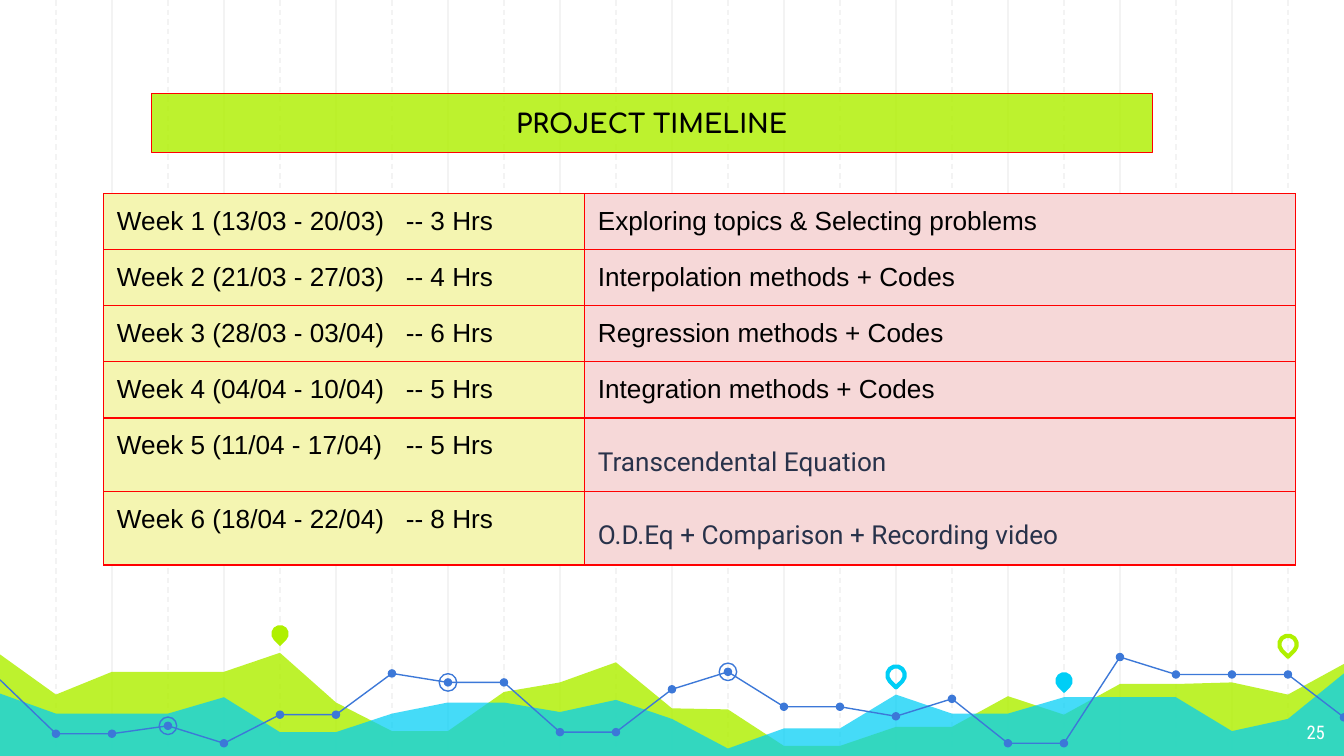
"""Build the project timeline slide with its chart-like backdrop."""
from lxml.etree import SubElement
from pptx import Presentation
from pptx.dml.color import RGBColor
from pptx.enum.dml import MSO_LINE
from pptx.enum.shapes import MSO_CONNECTOR, MSO_SHAPE
from pptx.enum.text import MSO_ANCHOR, PP_ALIGN
from pptx.oxml.ns import qn
from pptx.util import Cm, Pt

WIDTH, HEIGHT = 25.4, 14.29
STEPS = 24
STEP = WIDTH / STEPS
INSET = 0.25
CELL_BOTTOM = 0.2

GREEN_HILLS = [12.37, 13.13, 12.7, 12.7, 12.7, 12.34, 13.28, 13.82, 13.82, 13.08, 12.9, 12.52, 13.39,
               13.41, 14.1, 14.1, 13.74, 13.74, 13.16, 13.51, 12.93, 12.93, 12.9, 13.13, 12.55]
BLUE_HILLS = [13.11, 13.49, 13.49, 13.49, 13.18, 13.84, 13.84, 13.49, 13.28, 13.28, 13.46, 13.23, 13.59,
              14.15, 13.77, 13.77, 13.13, 13.49, 13.49, 13.18, 13.18, 13.18, 13.82, 13.59, 12.73]
TREND = [12.85, 13.87, 13.87, 13.72, 14.05, 13.51, 13.51, 12.73, 12.9, 12.9, 13.84, 13.84, 13.03,
         12.7, 13.36, 13.36, 13.54, 13.21, 14.05, 14.05, 12.42, 12.75, 12.75, 12.75, 13.56]
RINGED_STEPS = [3, 8, 13]
WEEKS = [
    ("Week 1 (13/03 - 20/03)", "3 Hrs", "Exploring topics & Selecting problems"),
    ("Week 2 (21/03 - 27/03)", "4 Hrs", "Interpolation methods + Codes"),
    ("Week 3 (28/03 - 03/04)", "6 Hrs", "Regression methods + Codes"),
    ("Week 4 (04/04 - 10/04)", "5 Hrs", "Integration methods + Codes"),
    ("Week 5 (11/04 - 17/04)", "5 Hrs", "Transcendental Equation"),
    ("Week 6 (18/04 - 22/04)", "8 Hrs", "O.D.Eq + Comparison + Recording video"),
]
PLAIN_WEEKS = 4


def color(hex_code):
    return RGBColor.from_string(hex_code)


def write(frame, text, size=14, font="Arial", ink="000000", bold=False,
          align=PP_ALIGN.LEFT, spacing=None, tab=None):
    paragraph = frame.paragraphs[0]
    if tab:
        stops = SubElement(paragraph._p.get_or_add_pPr(), qn("a:tabLst"))
        SubElement(stops, qn("a:tab"), pos=str(Cm(tab)), algn="l")
    paragraph.alignment = align
    if spacing:
        paragraph.line_spacing = spacing
    run = paragraph.add_run()
    run.text = text
    run.font.size = Pt(size)
    run.font.name = font
    run.font.bold = bold
    run.font.color.rgb = color(ink)


class TimelineSlide:
    lime, cyan, blue, red = "AFF000", "00CEF6", "3C78D8", "FF0000"
    grid, slate, yellow, pink = "F3F3F3", "28324A", "F4F5B1", "F6D8D8"
    thin, thick = 0.75, 2.25

    def __init__(self, slide):
        self.slide = slide
        self.shapes = slide.shapes

    def paint(self, shape, fill=None, line=None, weight=thin, opacity=100):
        shape.shadow.inherit = False
        if fill:
            shape.fill.solid()
            shape.fill.fore_color.rgb = color(fill)
            if opacity < 100:
                tint = shape.fill._xPr.find(".//" + qn("a:srgbClr"))
                SubElement(tint, qn("a:alpha"), val=str(opacity * 1000))
        else:
            shape.fill.background()
        if line:
            shape.line.color.rgb = color(line)
            shape.line.width = Pt(weight)
        else:
            shape.line.fill.background()
        return shape

    def grid_line(self, step, dashed):
        x = Cm(step * STEP)
        rule = self.shapes.add_connector(MSO_CONNECTOR.STRAIGHT, x, 0, x, Cm(HEIGHT))
        rule.line.color.rgb = color(self.grid)
        rule.line.width = Pt(self.thin)
        if dashed:
            rule.line.dash_style = MSO_LINE.DASH
        SubElement(rule._element.spPr, qn("a:effectLst"))

    def profile(self, heights, closed, **look):
        points = [(Cm(step * STEP), Cm(y)) for step, y in enumerate(heights)]
        if closed:
            points += [(Cm(WIDTH), Cm(HEIGHT)), (0, Cm(HEIGHT))]
        builder = self.shapes.build_freeform(*points[0])
        builder.add_line_segments(points[1:], close=closed)
        self.paint(builder.convert_to_shape(), **look)

    def marker(self, kind, step, y, size, **look):
        shape = self.shapes.add_shape(kind, Cm(step * STEP - size / 2), Cm(y - size / 2),
                                      Cm(size), Cm(size))
        return self.paint(shape, **look)

    def pin(self, step, y, **look):
        self.marker(MSO_SHAPE.TEAR, step, y, 0.33, **look).rotation = 135

    def banner(self, text, left, top, width, height):
        box = self.shapes.add_shape(MSO_SHAPE.RECTANGLE, Cm(left), Cm(top), Cm(width), Cm(height))
        self.paint(box, fill=self.lime, line=self.red, opacity=82)
        box.text_frame.vertical_anchor = MSO_ANCHOR.MIDDLE
        write(box.text_frame, text, font="Comfortaa", bold=True, align=PP_ALIGN.CENTER)

    def page_number(self, number, left, top, width, height):
        frame = self.shapes.add_textbox(Cm(left), Cm(top), Cm(width), Cm(height)).text_frame
        frame.word_wrap = True
        frame.margin_left = frame.margin_right = Cm(INSET)
        frame.margin_top = frame.margin_bottom = Cm(INSET)
        write(frame, number, size=10, font="Roboto Condensed", ink="FFFFFF", align=PP_ALIGN.RIGHT)

    def cell(self, cell, text, fill, **text_format):
        cell.margin_left = cell.margin_right = cell.margin_top = Cm(INSET)
        cell.margin_bottom = Cm(CELL_BOTTOM)
        properties = cell._tc.get_or_add_tcPr()
        for side in ("lnL", "lnR", "lnT", "lnB"):
            border = SubElement(properties, qn("a:" + side), w=str(Pt(self.thin)))
            SubElement(SubElement(border, qn("a:solidFill")), qn("a:srgbClr"), val=self.red)
        cell.fill.solid()
        cell.fill.fore_color.rgb = color(fill)
        write(cell.text_frame, text, **text_format)

    def schedule(self, weeks, left, top, widths, plain_height, tall_height):
        heights = [plain_height if i < PLAIN_WEEKS else tall_height for i in range(len(weeks))]
        table = self.shapes.add_table(len(weeks), len(widths), Cm(left), Cm(top),
                                      Cm(sum(widths)), Cm(sum(heights))).table
        table.first_row = table.horz_banding = False
        for column, width in zip(table.columns, widths):
            column.width = Cm(width)
        for i, (week, hours, task) in enumerate(weeks):
            table.rows[i].height = Cm(heights[i])
            self.cell(table.cell(i, 0), f"{week}\t-- {hours}", self.yellow, tab=5.46)
            task_format = {} if i < PLAIN_WEEKS else dict(font="Roboto", ink=self.slate, spacing=1.5)
            self.cell(table.cell(i, 1), task, self.pink, **task_format)


def main():
    deck = Presentation()
    deck.slide_width, deck.slide_height = Cm(WIDTH), Cm(HEIGHT)
    page = TimelineSlide(deck.slides.add_slide(deck.slide_layouts[6]))

    for first, dashed in ((2, False), (1, True)):
        for step in range(first, STEPS, 2):
            page.grid_line(step, dashed)
    page.profile(GREEN_HILLS, True, fill=page.lime, opacity=82)
    page.profile(BLUE_HILLS, True, fill=page.cyan, opacity=73)
    page.pin(5, 11.98, fill=page.lime)
    page.pin(16, 12.76, line=page.cyan, weight=page.thick)
    page.pin(19, 12.87, fill=page.cyan)
    page.profile(TREND, False, line=page.blue)
    for step, y in enumerate(TREND[1:], start=1):
        page.marker(MSO_SHAPE.OVAL, step, y, 0.16, fill=page.blue)
    for step in RINGED_STEPS:
        page.marker(MSO_SHAPE.OVAL, step, TREND[step], 0.33, line=page.blue)
    page.pin(23, 12.18, line=page.lime, weight=page.thick)

    page.page_number("25", 23.77, 13.41, 1.52, 0.88)
    page.schedule(WEEKS, 1.96, 3.66, [9.09, 13.44], 1.06, 1.39)
    page.banner("PROJECT TIMELINE", 2.86, 1.77, 18.92, 1.11)
    deck.save("out.pptx")


if __name__ == "__main__":
    main()
